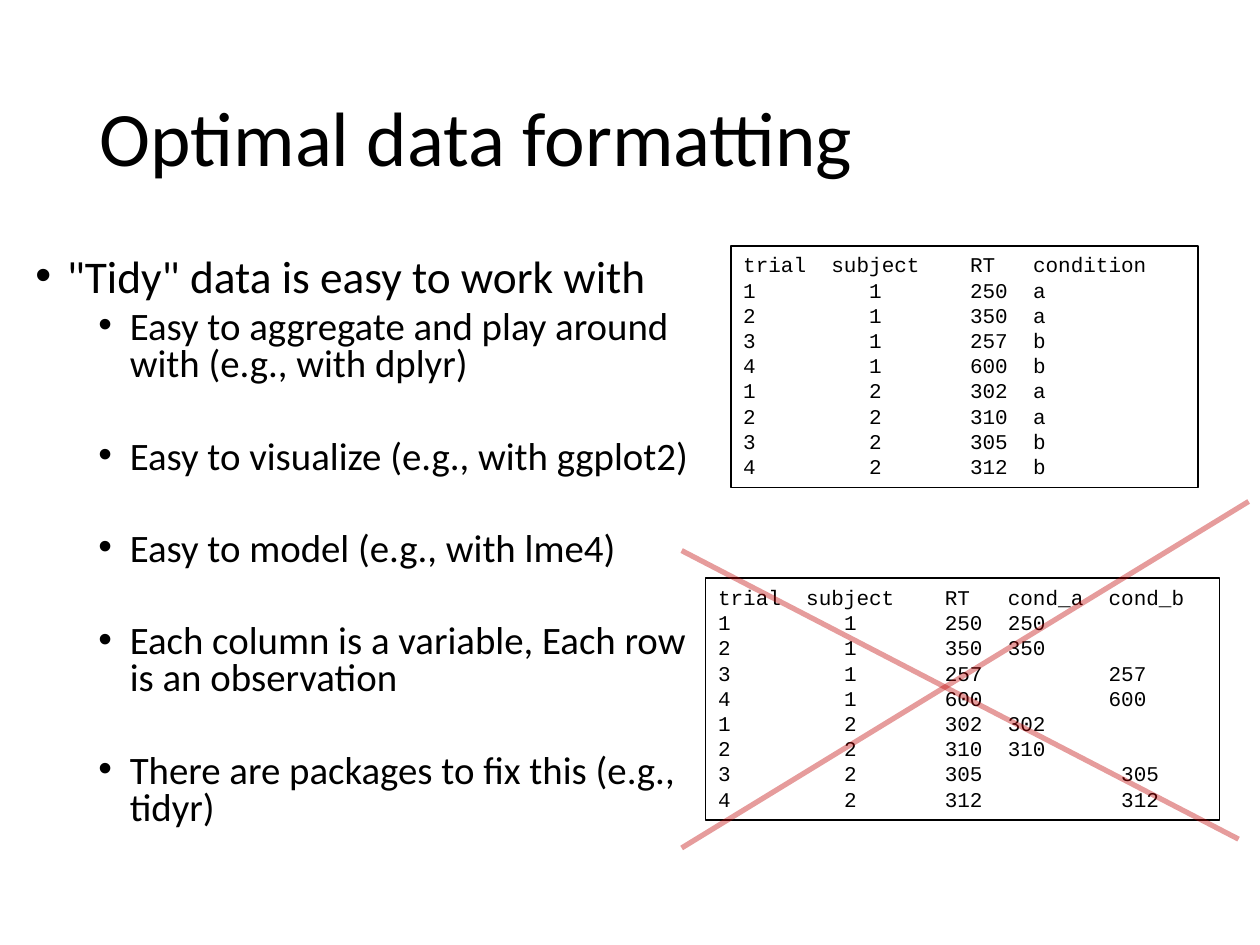
from lxml import etree
from pptx import Presentation
from pptx.dml.color import RGBColor
from pptx.enum import shapes, text
from pptx.oxml import ns
from pptx.util import Inches, Pt

BLACK = RGBColor(0x00, 0x00, 0x00)
WHITE = RGBColor(0xFF, 0xFF, 0xFF)
RED = RGBColor(0xC0, 0x00, 0x00)


def add_xml(parent, tag, **attributes):
    return etree.SubElement(parent, ns.qn(tag), attributes)


def write_paragraph(paragraph, words, font_format, paragraph_format):
    run = paragraph.add_run()
    run.text = words
    run.font.color.rgb = BLACK
    for name, value in font_format.items():
        setattr(run.font, name, value)
    for name, value in paragraph_format.items():
        setattr(paragraph, name, value)


presentation = Presentation()
presentation.slide_width = Inches(10)
presentation.slide_height = Inches(7.5)
slide = presentation.slides.add_slide(presentation.slide_layouts[1])

title, body = slide.placeholders
for placeholder, box, anchor in [
    (title, (0.69, 0.4, 8.62, 1.45), text.MSO_ANCHOR.MIDDLE),
    (body, (0.18, 2, 5.42, 4.76), text.MSO_ANCHOR.TOP),
]:
    for name, value in zip(("left", "top", "width", "height"), box):
        setattr(placeholder, name, Inches(value))
    placeholder.text_frame.auto_size = text.MSO_AUTO_SIZE.NONE
    placeholder.text_frame.vertical_anchor = anchor

write_paragraph(
    title.text_frame.paragraphs[0],
    "Optimal data formatting",
    {"name": "Calibri", "size": Pt(44)},
    {"alignment": text.PP_ALIGN.LEFT, "line_spacing": 0.9},
)

bullets = [
    ('"Tidy" data is easy to work with', 0, 25.9, 10),
    ("Easy to aggregate and play around with (e.g., with dplyr)", 1, 22.2, 5),
    ("Easy to visualize (e.g., with ggplot2)", 1, 22.2, 31.4),
    ("Easy to model (e.g., with lme4)", 1, 22.2, 31.4),
    ("Each column is a variable, Each row is an observation", 1, 22.2, 31.4),
    ("There are packages to fix this (e.g., tidyr)", 1, 22.2, 31.4),
]
for index, (words, level, size, space) in enumerate(bullets):
    frame = body.text_frame
    paragraph = frame.add_paragraph() if index else frame.paragraphs[0]
    write_paragraph(
        paragraph,
        words,
        {"name": "Calibri", "size": Pt(size)},
        {"level": level, "line_spacing": 0.8, "space_before": Pt(space)},
    )
    properties = paragraph._p.get_or_add_pPr()
    properties.set("marL", str(Inches(0.25 + 0.5 * level)))
    properties.set("indent", str(Inches(-0.25)))
    add_xml(properties, "a:buFont", typeface="Arial")
    add_xml(properties, "a:buChar", char="•")

tidy_rows = [
    "trial subject RT condition",
    "1 1 250 a", "2 1 350 a", "3 1 257 b", "4 1 600 b",
    "1 2 302 a", "2 2 310 a", "3 2 305 b", "4 2 312 b",
]
untidy_rows = [
    "trial subject RT cond_a cond_b",
    "1 1 250 250", "2 1 350 350", "3 1 257  257", "4 1 600  600",
    "1 2 302 302", "2 2 310 310", "3 2 305   305", "4 2 312   312",
]
tab_stops = [(1.05, "ctr"), (1.8, "l"), (2.3, "l"), (3.1, "l"), (3.2, "l")]
for rows, box in [
    (tidy_rows, (5.8, 1.95, 3.71, 1.92)),
    (untidy_rows, (5.6, 4.59, 4.08, 1.92)),
]:
    listing = slide.shapes.add_shape(
        shapes.MSO_SHAPE.RECTANGLE, *map(Inches, box)
    )
    listing.shadow.inherit = False
    listing.fill.solid()
    listing.fill.fore_color.rgb = WHITE
    listing.line.color.rgb = BLACK
    listing.line.width = Pt(1)
    frame = listing.text_frame
    frame.vertical_anchor = text.MSO_ANCHOR.TOP
    for index, row in enumerate(rows):
        paragraph = frame.add_paragraph() if index else frame.paragraphs[0]
        write_paragraph(
            paragraph,
            row.replace(" ", "\t"),
            {"name": "Courier New", "size": Pt(12)},
            {"alignment": text.PP_ALIGN.LEFT},
        )
        tab_list = add_xml(paragraph._p.get_or_add_pPr(), "a:tabLst")
        for position, alignment in tab_stops:
            add_xml(tab_list, "a:tab", pos=str(Inches(position)), algn=alignment)

for ends in [(5.41, 4.37, 9.83, 6.66), (9.91, 3.98, 5.41, 6.73)]:
    cross_line = slide.shapes.add_connector(
        shapes.MSO_CONNECTOR.STRAIGHT, *map(Inches, ends)
    )
    cross_line.line.color.rgb = RED
    cross_line.line.width = Pt(3)
    properties = cross_line._element.spPr
    color = properties.find(".//" + ns.qn("a:srgbClr"))
    add_xml(color, "a:alpha", val="38000")
    add_xml(properties, "a:effectLst")

presentation.save("out.pptx")
